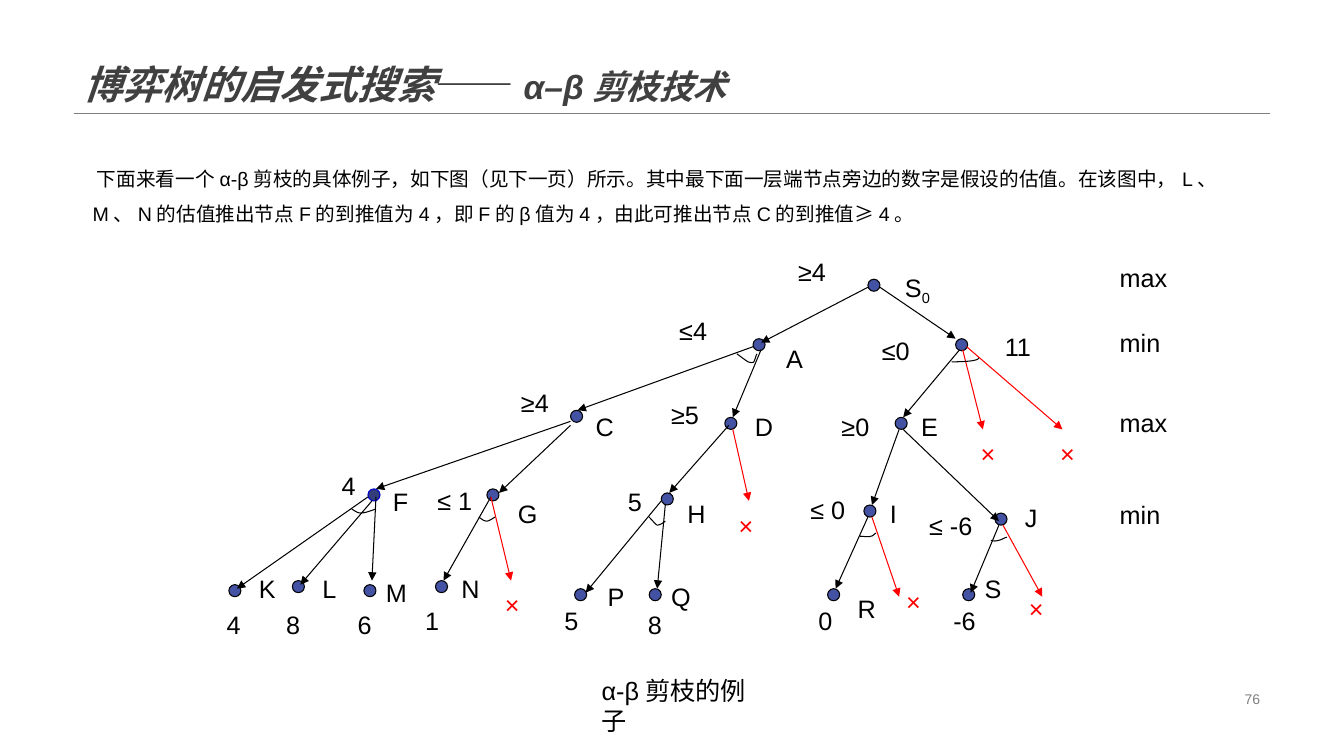
import pptx
import pptx.util
import pptx.dml.color
import pptx.enum.shapes
import pptx.enum.text
import pptx.oxml
import pptx.oxml.ns

COLORS = {"ink": "000000", "title": "404040", "rule": "808080", "node": "4352A3",
          "chosen": "323D7A", "chosen edge": "0000CC", "pruned": "FF0000"}
CELL = pptx.util.Inches(0.1)
COLUMNS, ROWS = 133.33, 75
NODE_SIZE, LABEL_HEIGHT = 1.2, 4
LABEL_WIDTHS = {1: 4.3, 2: 6.3, 3: 6.3, 4: 9.4}
ALIGN = pptx.enum.text.PP_ALIGN
ANCHOR = pptx.enum.text.MSO_ANCHOR

NODES = {"S0": (86.1, 27.7), "A": (74.7, 33.6), "B": (94.8, 33.6), "C": (56.6, 40.7),
         "D": (71.9, 41.4), "E": (88.8, 41.4), "G": (48.3, 48.5), "H": (65.6, 48.9),
         "I": (85.7, 50.1), "J": (98.7, 50.9), "K": (22.7, 58), "L": (29, 57.6),
         "M": (36.1, 58), "N": (43.2, 57.6), "P": (57, 58.4), "Q": (64.4, 58.4),
         "R": (82.1, 58.4), "S": (95.5, 58.4)}
CHOSEN_NODE = (36.5, 48.5)
MOVES = [(86.1, 28.5, 75.5, 34), (87.3, 28.5, 94.8, 33.6), (74.7, 34.4, 57.3, 40.7),
         (75.5, 34.7, 72.7, 41.4), (95.2, 34.7, 89.6, 41.4), (89.2, 42.6, 86.5, 50.1),
         (89.6, 42.6, 99.1, 51.7), (86.1, 51.3, 82.9, 58.4), (99.1, 52.1, 96.3, 58.8),
         (56.6, 41.8, 37.3, 48.5), (56.6, 42.2, 49.5, 48.9), (36.9, 49.7, 29.8, 58),
         (37.3, 49.3, 36.9, 57.6), (48.7, 49.3, 44, 57.6), (72.3, 42.2, 66.4, 48.9),
         (65.6, 49.7, 58.1, 58.8), (66, 50.1, 65.2, 58.4), (36.5, 49.3, 23.5, 58.4)]
PRUNED_MOVES = [(95.5, 34.7, 97.5, 42.6), (95.9, 34.4, 105.4, 42.6), (86.5, 51.3, 89.2, 59.2),
                (99.5, 52.1, 103.4, 59.2), (48.7, 49.3, 50.7, 57.6), (72.7, 42.6, 74.3, 49.7)]
PRUNED_MARKS = [(101.1, 58.4), (49.1, 58), (72.3, 50.1), (88.9, 57.7), (96.3, 43), (104.2, 43)]
ARCS = [
    [(73.1, 35.1), (73.5, 35.4), (73.9, 35.7), (74.2, 35.9), (74.5, 36), (74.7, 36),
     (74.8, 35.9), (74.9, 35.7), (75, 35.3), (75.1, 35.1)],
    [(94.4, 35.9), (95.9, 35.9), (97.1, 35.8), (97.1, 35.5)],
    [(85.3, 53.2), (85.7, 53.2), (86.1, 53.3), (86.4, 53.2), (86.6, 53.2), (86.8, 52.9), (86.9, 52.9)],
    [(98.3, 53.6), (98.6, 53.7), (98.8, 53.7), (99.1, 53.6), (99.3, 53.6), (99.7, 53.3), (99.9, 53.3)],
    [(34.9, 50.5), (35.2, 50.7), (35.5, 50.9), (35.8, 50.9), (36.2, 50.9), (36.7, 50.7), (37.3, 50.5)],
    [(47.5, 51.3), (47.8, 51.5), (48, 51.7), (48.3, 51.7), (48.5, 51.7), (48.8, 51.5), (49.1, 51.3)],
    [(64.4, 51.3), (64.7, 51.6), (65, 52), (65.2, 52.1), (65.5, 52.1), (65.9, 51.8), (66, 51.7)]]
NODE_LABELS = [("A", 77, 33.6), ("C", 58.1, 40.3), ("D", 73.9, 40.3), ("E", 90.4, 40.3),
               ("F", 38, 47.8), ("G", 50.4, 48.9), ("H", 67.2, 48.9), ("I", 87.3, 48.9),
               ("J", 100.7, 49.3), ("K", 24.7, 56.4), ("L", 31, 56.4), ("M", 37.3, 56.8),
               ("N", 44.8, 56.4), ("P", 59.3, 57.2), ("Q", 65.6, 57.2), ("R", 84.1, 58.4),
               ("S", 96.7, 56.4)]
ESTIMATES = [("≥4", 78.2, 24.9), ("≤4", 66.4, 30.8), ("≤0", 86.5, 32.8), ("11", 98.7, 32.4),
             ("≥4", 50.7, 37.9), ("≥5", 65.6, 39.1), ("≥0", 82.5, 40.3), ("4", 32.9, 46.2),
             ("≤ 1", 42.4, 47.7), ("5", 61.3, 47.8), ("≤ 0", 79.4, 48.5), ("≤ -6", 91.2, 50.1),
             ("4", 21.5, 60), ("8", 27.4, 60), ("6", 34.5, 60), ("1", 41.2, 59.6),
             ("5", 55, 59.6), ("8", 63.3, 60), ("0", 80.2, 59.6), ("-6", 93.6, 59.6)]
LEVELS = [("max", 25.5), ("min", 32), ("max", 39.9), ("min", 49)]
EXPLANATION = (" 下面来看一个α-β剪枝的具体例子，如下图（见下一页）所示。其中最下面一层端节点旁边的数字是假设的估值。"
               "在该图中，L、M、N的估值推出节点F的到推值为4，即F的β值为4，由此可推出节点C的到推值≥4。")


def grid(*cells):
    """Turn grid cells into slide lengths."""
    return [pptx.util.Emu(round(cell * CELL)) for cell in cells]


def rgb(color):
    """Look up a named colour."""
    return pptx.dml.color.RGBColor.from_string(COLORS[color])


def add_run(paragraph, words, size=18, color="ink", bold=None, italic=None):
    """Append one formatted run to a paragraph."""
    run = paragraph.add_run()
    run.text = words
    run.font.name = "Arial"
    run.font.size = pptx.util.Pt(size)
    run.font.bold, run.font.italic = bold, italic
    run.font.color.rgb = rgb(color)
    return run


def add_words(shapes, words, left, top, width, height=LABEL_HEIGHT, size=18, color="ink",
              align=ALIGN.LEFT, anchor=ANCHOR.TOP, spacing=None):
    """Add a wrapping text box and return its paragraph."""
    frame = shapes.add_textbox(*grid(left, top, width, height)).text_frame
    frame.word_wrap = True
    frame.vertical_anchor = anchor
    paragraph = frame.paragraphs[0]
    paragraph.alignment = align
    paragraph.line_spacing = spacing
    add_run(paragraph, words, size, color)
    return paragraph


def add_label(shapes, words, left, top, color="ink"):
    """Add a tree label as wide as its word count needs."""
    return add_words(shapes, words, left, top, LABEL_WIDTHS[len(words)], color=color)


def add_line(shapes, ends, color="ink", width=0.75, arrow=True):
    """Add a straight line, with an arrowhead if wanted."""
    line = shapes.add_connector(pptx.enum.shapes.MSO_CONNECTOR.STRAIGHT, *grid(*ends))
    line.line.color.rgb = rgb(color)
    line.line.width = pptx.util.Pt(width)
    properties = line.element.spPr
    if arrow:
        head = pptx.oxml.parse_xml('<a:tailEnd %s type="triangle"/>' % pptx.oxml.ns.nsdecls("a"))
        properties.find(pptx.oxml.ns.qn("a:ln")).append(head)
    properties.append(pptx.oxml.parse_xml("<a:effectLst %s/>" % pptx.oxml.ns.nsdecls("a")))


def add_node(shapes, left, top, fill="node", edge="ink"):
    """Add a round tree node."""
    node = shapes.add_shape(pptx.enum.shapes.MSO_SHAPE.OVAL, *grid(left, top, NODE_SIZE, NODE_SIZE))
    node.shadow.inherit = False
    node.fill.solid()
    node.fill.fore_color.rgb = rgb(fill)
    node.line.color.rgb = rgb(edge)
    node.line.width = pptx.util.Pt(0.75)


def bezier(controls, share):
    """Return the point at a share of a cubic curve."""
    weights = ((1 - share) ** 3, 3 * share * (1 - share) ** 2, 3 * share ** 2 * (1 - share), share ** 3)
    return grid(*(sum(w * c for w, c in zip(weights, axis)) for axis in zip(*controls)))


def add_arc(shapes, controls, steps=8):
    """Add the AND arc that joins sibling moves."""
    points = [bezier(controls[first:first + 4], step / steps)
              for first in range(0, len(controls) - 1, 3) for step in range(1, steps + 1)]
    builder = shapes.build_freeform(*grid(*controls[0]))
    builder.add_line_segments(points, close=False)
    arc = builder.convert_to_shape()
    arc.shadow.inherit = False
    arc.fill.background()
    arc.line.color.rgb = rgb("ink")
    arc.line.width = pptx.util.Pt(0.75)


def add_title(slide):
    """Place and fill the title with the rule below it."""
    title = slide.shapes.title
    title.left, title.top, title.width, title.height = grid(7.3, 0, 118.7, 11.2)
    frame = title.text_frame
    frame.auto_size = pptx.enum.text.MSO_AUTO_SIZE.NONE
    frame.vertical_anchor = ANCHOR.BOTTOM
    paragraph = frame.paragraphs[0]
    paragraph.alignment = ALIGN.LEFT
    paragraph.line_spacing = 0.9
    for words, size, italic in (("博弈树的启发式搜索", 28, True), ("——", 28, False), ("α–β剪枝技术", 24, True)):
        add_run(paragraph, words, size, "title", True, italic)
    add_line(slide.shapes, (7.3, 11.2, 126, 11.2), "rule", 0.25, arrow=False)


def add_tree(shapes):
    """Draw the game tree with its pruned branches."""
    for place in NODES.values():
        add_node(shapes, *place)
    add_node(shapes, *CHOSEN_NODE, "chosen", "chosen edge")
    for ends in MOVES:
        add_line(shapes, ends)
    for ends in PRUNED_MOVES:
        add_line(shapes, ends, "pruned")
    for controls in ARCS:
        add_arc(shapes, controls)
    for label in NODE_LABELS + ESTIMATES:
        add_label(shapes, *label)
    for place in PRUNED_MARKS:
        add_label(shapes, "×", *place, color="pruned")
    root = add_words(shapes, "S", 88.8, 26.5, LABEL_WIDTHS[2])
    add_run(root, "0").font._element.set("baseline", "-25000")


def main():
    """Build and save the slide."""
    deck = pptx.Presentation()
    deck.slide_width, deck.slide_height = grid(COLUMNS, ROWS)
    slide = deck.slides.add_slide(deck.slide_layouts[5])
    add_title(slide)
    add_words(slide.shapes, EXPLANATION, 8.2, 14.9, 117.4, 7.7, size=14, spacing=1.5)
    add_tree(slide.shapes.add_group_shape().shapes)
    for player, row in LEVELS:
        add_words(slide.shapes, player, 110.1, row, 9.4)
    add_words(slide.shapes, "α-β剪枝的例子", 58.7, 66.5, 18.4)
    add_words(slide.shapes, "76", 94.2, 68.2, 31.8, 2.3, 10, "rule", ALIGN.RIGHT, ANCHOR.MIDDLE)
    deck.save("out.pptx")


if __name__ == "__main__":
    main()
